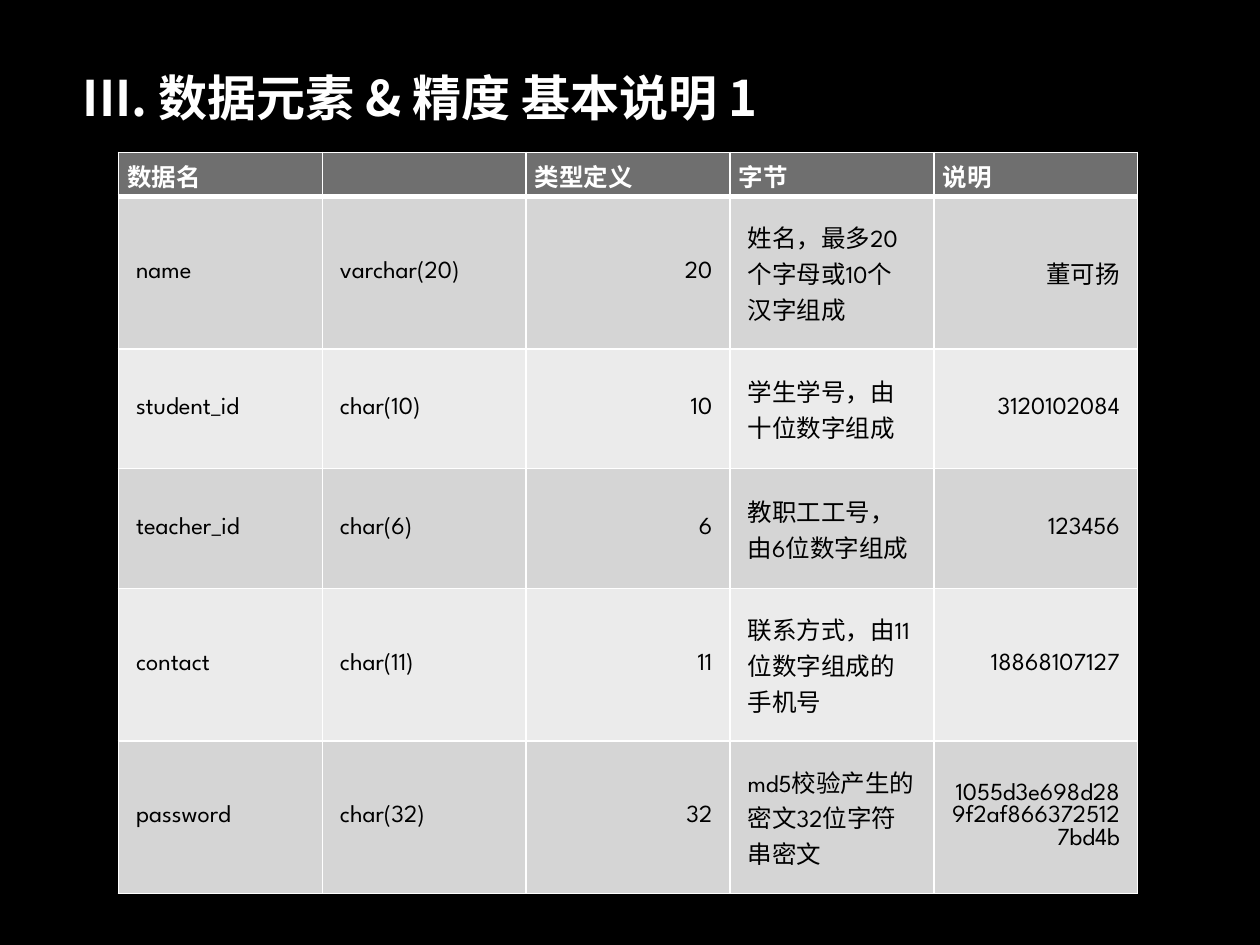
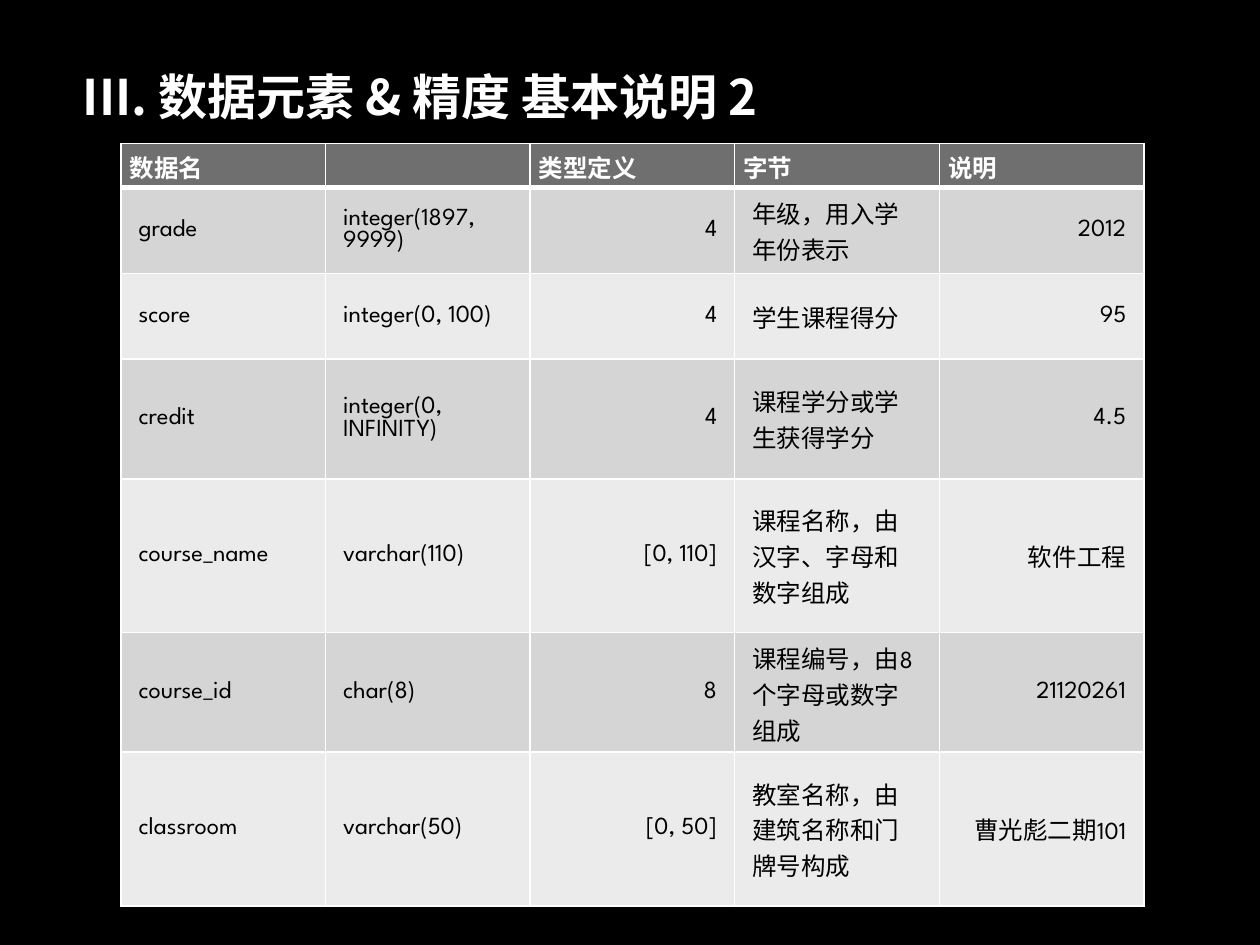
from lxml import etree
from pptx import Presentation
from pptx.dml.color import RGBColor
from pptx.enum import text
from pptx.oxml import ns
from pptx.util import Inches, Pt

# Shared look
BLACK, WHITE, SILVER = "000000", "FFFFFF", "BFBFBF"
HEAD, DARK, LIGHT = "6F6F6F", "D5D5D5", "EBEBEB"
LATIN, ASIAN = "League Spartan", "Noto Sans CJK SC"
TITLE = "III. 数据元素 & 精度 基本说明 "
LABELS = ("数据名", "", "类型定义", "字节", "说明")
RIGHT = (2, 4)  # columns set flush right

# Slide content: name, type, bytes, meaning, example
BASIC = [
    ("name", "varchar(20)", "20", "姓名，最多20个字母或10个汉字组成", "董可扬"),
    ("student_id", "char(10)", "10", "学生学号，由十位数字组成", "3120102084"),
    ("teacher_id", "char(6)", "6", "教职工工号，由6位数字组成", "123456"),
    ("contact", "char(11)", "11", "联系方式，由11位数字组成的手机号", "18868107127"),
    ("password", "char(32)", "32", "md5校验产生的密文32位字符串密文",
     "1055d3e698d289f2af8663725127bd4b"),
]
COURSE = [
    ("grade", "integer(1897, 9999)", "4", "年级，用入学年份表示", "2012"),
    ("score", "integer(0, 100)", "4", "学生课程得分", "95"),
    ("credit", "integer(0, INFINITY)", "4", "课程学分或学生获得学分", "4.5"),
    ("course_name", "varchar(110)", "[0, 110]", "课程名称，由汉字、字母和数字组成", "软件工程"),
    ("course_id", "char(8)", "8", "课程编号，由8个字母或数字组成", "21120261"),
    ("classroom", "varchar(50)", "[0, 50]", "教室名称，由建筑名称和门牌号构成", "曹光彪二期101"),
]


def color(code):
    return RGBColor.from_string(code)


def paint(fill, code):
    fill.solid()
    fill.fore_color.rgb = color(code)


def add_run(para, words, size, face, bold):
    run = para.add_run()
    run.text = words
    run.font.size, run.font.bold = Pt(size), bold
    paint(run.font.fill, WHITE)
    run.font.name = face
    east = etree.SubElement(run.font._element, ns.qn("a:ea"))
    east.set("typeface", ASIAN)
    return run


def add_title(slide, number, left, top, width, height):
    box = slide.shapes.add_textbox(
        Inches(left), Inches(top), Inches(width), Inches(height))
    frame = box.text_frame
    frame.word_wrap = True
    frame.vertical_anchor = text.MSO_ANCHOR.MIDDLE
    run = add_run(frame.paragraphs[0], TITLE + str(number), 28, ASIAN, True)
    # White fading down to silver
    fill = run.font.fill
    fill.gradient()
    fill.gradient_angle = 270
    for stop, code, place in zip(fill.gradient_stops, (WHITE, SILVER), (0, 1)):
        stop.color.rgb = color(code)
        stop.position = place


def add_edges(cell, top, base):
    props = cell._tc.get_or_add_tcPr()
    for side, width in (("L", 1), ("R", 1), ("T", top), ("B", base)):
        line = etree.SubElement(props, ns.qn("a:ln" + side), w=str(Pt(width)))
        fill = etree.SubElement(line, ns.qn("a:solidFill"))
        etree.SubElement(fill, ns.qn("a:srgbClr"), val=WHITE)


def fill_cell(cell, words, row, col):
    head = row == 0
    add_edges(cell, 3 if row == 1 else 1, 3 if head else 1)
    paint(cell.fill, HEAD if head else DARK if row % 2 else LIGHT)
    cell.margin_left = cell.margin_right = Inches(0.07 if head else 0.14)
    cell.margin_top = cell.margin_bottom = Inches(0.04 if head else 0.06)
    if not head:
        cell.vertical_anchor = text.MSO_ANCHOR.MIDDLE
    para = cell.text_frame.paragraphs[0]
    if not words:
        etree.SubElement(para._p, ns.qn("a:endParaRPr"), sz="1400")
        return
    if col in RIGHT and not head:
        para.alignment = text.PP_ALIGN.RIGHT
    run = add_run(para, words, 14, LATIN, head)
    run.font.color.rgb = color(WHITE if head else BLACK)


def add_grid(slide, rows, left, top, width, heights):
    rows = [LABELS] + rows
    grid = slide.shapes.add_table(
        len(rows), len(LABELS), Inches(left), Inches(top),
        Inches(width), Inches(sum(heights))).table
    grid.first_row = grid.horz_banding = False
    for col in grid.columns:
        col.width = Inches(width / len(LABELS))
    for r, (words, height) in enumerate(zip(rows, heights)):
        grid.rows[r].height = Inches(height)
        for c, word in enumerate(words):
            fill_cell(grid.cell(r, c), word, r, c)


def add_slide(deck):
    slide = deck.slides.add_slide(deck.slide_layouts[6])
    paint(slide.background.fill, BLACK)
    return slide


def main():
    deck = Presentation()
    deck.slide_width, deck.slide_height = Inches(10), Inches(7.5)

    # People and accounts
    slide = add_slide(deck)
    add_title(slide, 1, 0.56, 0.5, 7.05, 0.54)
    add_grid(slide, BASIC, 0.94, 1.21, 8.09,
             (0.35, 1.21, 0.95, 0.95, 1.21, 1.21))

    # Courses
    slide = add_slide(deck)
    add_title(slide, 2, 0.56, 0.23, 7.17, 1.06)
    add_grid(slide, COURSE, 0.96, 1.14, 8.12,
             (0.35, 0.68, 0.68, 0.95, 1.22, 0.95, 1.22))

    deck.save("out.pptx")


if __name__ == "__main__":
    main()
